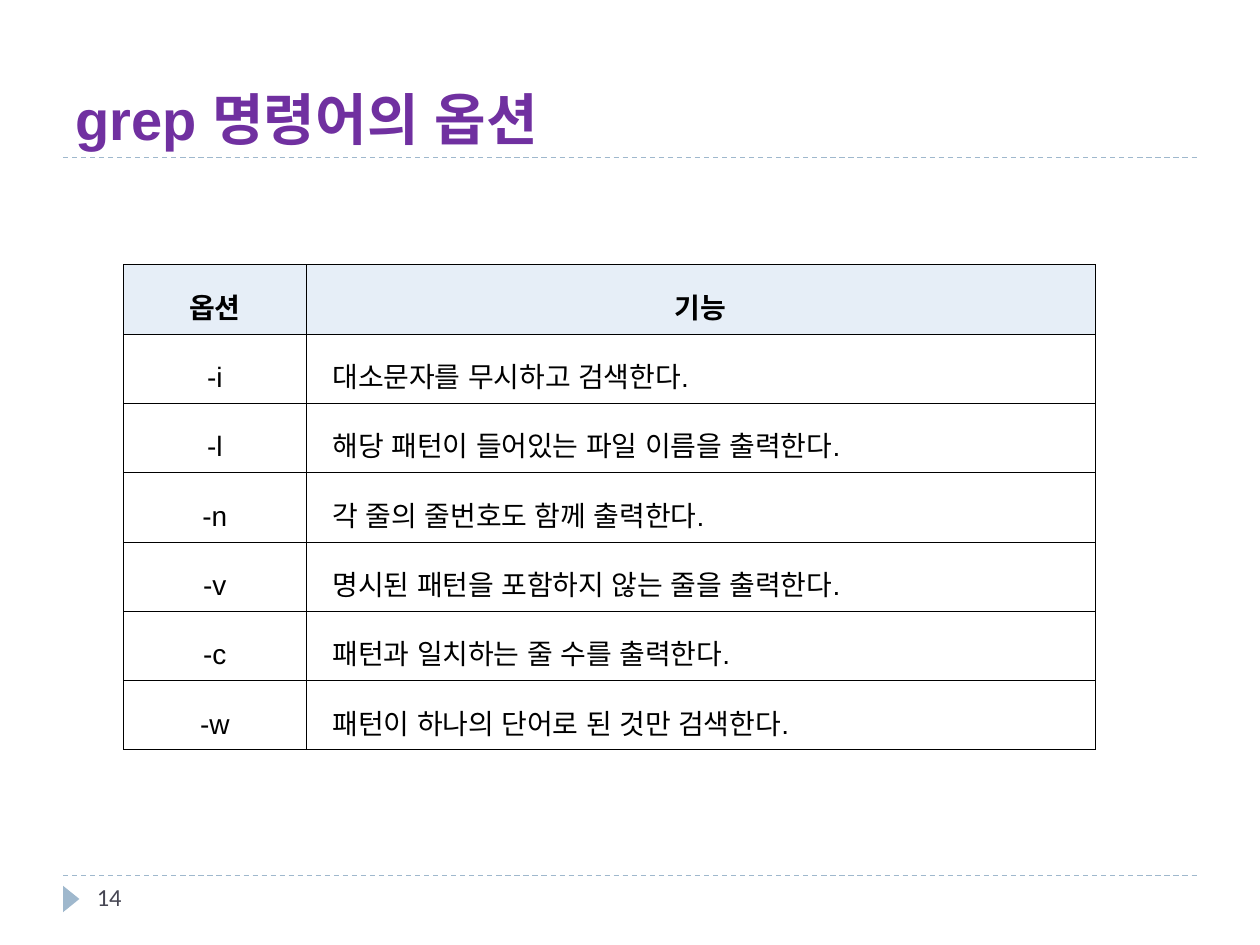
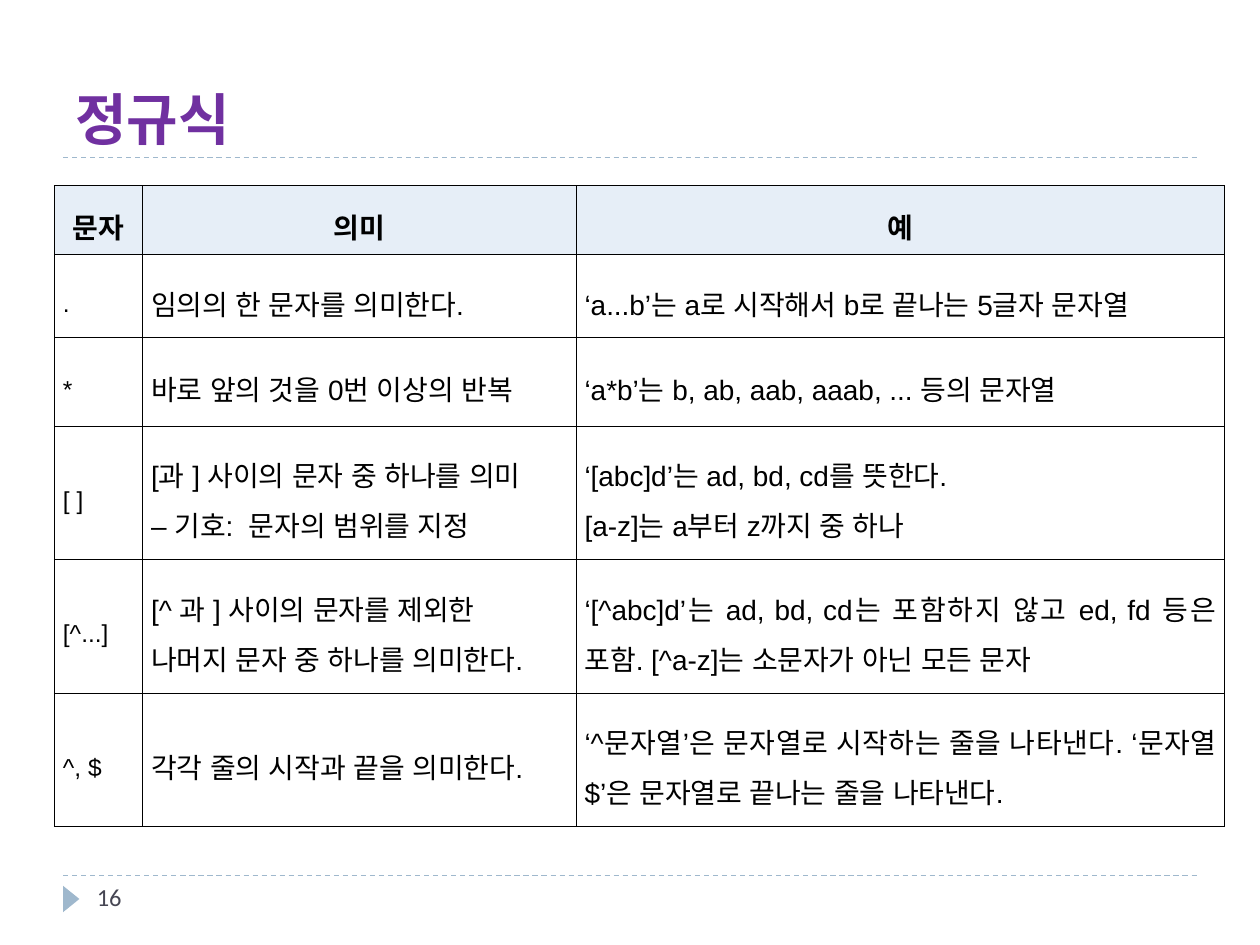
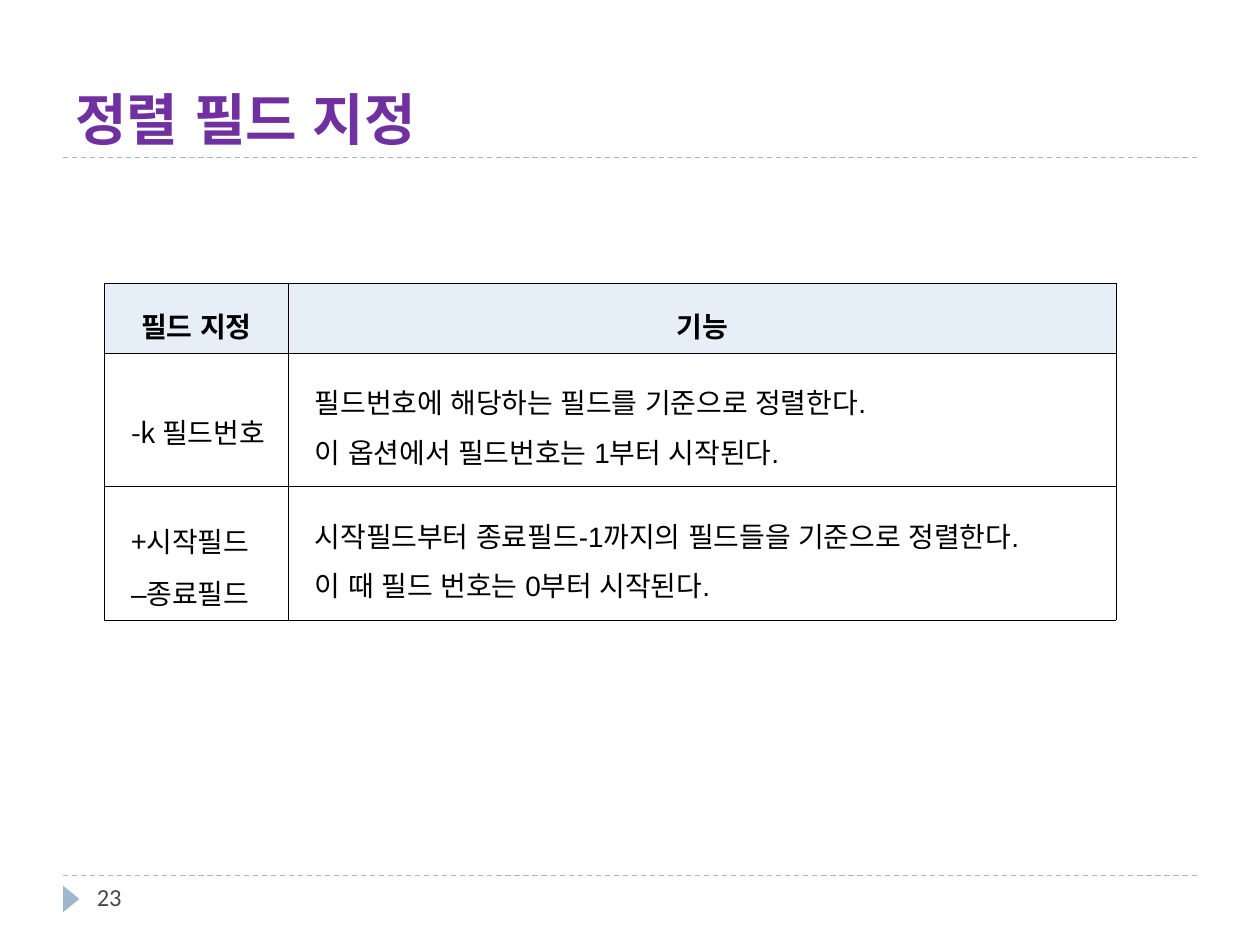
from lxml import etree
from pptx import Presentation
from pptx.dml.color import RGBColor
from pptx.enum.dml import MSO_LINE
from pptx.enum.shapes import MSO_CONNECTOR, MSO_SHAPE
from pptx.enum.text import MSO_ANCHOR, PP_ALIGN
from pptx.oxml.ns import qn
from pptx.util import Inches, Pt

COLORS = {"title": "7030A0", "accent": "9FB8CD", "number": "464653",
          "text": "000000", "header": "E6EEF7"}
SYMBOL_FONT = "Noto Sans CJK KR"
KOREAN_FONT = "Arial"
LEFT, CENTER, JUSTIFY = PP_ALIGN.LEFT, PP_ALIGN.CENTER, PP_ALIGN.JUSTIFY
ONE_LINE, TWO_LINES = 0.55, 1.06

# Each column is (width, alignment, indent, size, font).
# A cell lists its paragraphs on separate lines; a tuple is (symbol, word).
SLIDES = [
    {
        "title": "grep 명령어의 옵션", "number": "14",
        "at": (0.98, 2.1), "before": 4.3, "header_font": "Arial",
        "columns": [(1.45, CENTER, 0, 16, "Arial"), (6.26, LEFT, 0.14, 16, "Arial")],
        "heights": [ONE_LINE] * 7,
        "rows": [
            ("옵션", "기능"),
            ("-i", "대소문자를 무시하고 검색한다."),
            ("-l", "해당 패턴이 들어있는 파일 이름을 출력한다."),
            ("-n", "각 줄의 줄번호도 함께 출력한다."),
            ("-v", "명시된 패턴을 포함하지 않는 줄을 출력한다."),
            ("-c", "패턴과 일치하는 줄 수를 출력한다."),
            ("-w", "패턴이 하나의 단어로 된 것만 검색한다."),
        ],
    },
    {
        "title": "정규식", "number": "16",
        "at": (0.43, 1.47), "before": 0, "header_font": "Arial",
        "columns": [(0.7, JUSTIFY, 0, 14, "Arial"), (3.44, JUSTIFY, 0, 16, "Arial"),
                    (5.15, JUSTIFY, 0, 16, "Arial")],
        "heights": [ONE_LINE, 0.66, 0.7] + [TWO_LINES] * 3,
        "rows": [
            ("문자", "의미", "예"),
            (".", "임의의 한 문자를 의미한다.",
             "‘a...b’는 a로 시작해서 b로 끝나는 5글자 문자열"),
            ("*", "바로 앞의 것을 0번 이상의 반복",
             "‘a*b’는 b, ab, aab, aaab, ... 등의 문자열"),
            ("[ ]", "[과 ] 사이의 문자 중 하나를 의미\n– 기호:  문자의 범위를 지정",
             "‘[abc]d’는 ad, bd, cd를 뜻한다.\n[a-z]는 a부터 z까지 중 하나"),
            ("[^...]", "[^ 과 ] 사이의 문자를 제외한\n나머지 문자 중 하나를 의미한다.",
             "‘[^abc]d’는 ad, bd, cd는 포함하지 않고 ed, fd 등은 포함. "
             "[^a-z]는 소문자가 아닌 모든 문자"),
            ("^, $", "각각 줄의 시작과 끝을 의미한다.",
             "‘^문자열’은 문자열로 시작하는 줄을 나타낸다. "
             "‘문자열$’은 문자열로 끝나는 줄을 나타낸다."),
        ],
    },
    {
        "title": "정렬 필드 지정", "number": "23",
        "at": (0.83, 2.25), "before": 0, "header_font": "Calibri",
        "columns": [(1.46, JUSTIFY, 0.14, 16, "Calibri"),
                    (6.57, JUSTIFY, 0.14, 16, "Arial")],
        "heights": [ONE_LINE, TWO_LINES, TWO_LINES],
        "rows": [
            ("필드 지정", "기능"),
            (("-k ", "필드번호"),
             "필드번호에 해당하는 필드를 기준으로 정렬한다.\n"
             "이 옵션에서 필드번호는 1부터 시작된다."),
            (("+", "시작필드\n–종료필드"),
             "시작필드부터 종료필드-1까지의 필드들을 기준으로 정렬한다.\n"
             "이 때 필드 번호는 0부터 시작된다."),
        ],
    },
]


def color(name):
    return RGBColor.from_string(COLORS[name])


def style(span, size, font, color_name, bold=False):
    span.font.size = Pt(size)
    span.font.name = font
    span.font.bold = bold
    span.font.color.rgb = color(color_name)
    korean = SYMBOL_FONT if font == SYMBOL_FONT else KOREAN_FONT
    east_asian = etree.Element(qn("a:ea"), typeface=korean)
    span.font._element.find(qn("a:latin")).addnext(east_asian)


def add_text(page, area, text, anchor, *look):
    box = page.shapes.add_textbox(*map(Inches, area))
    frame = box.text_frame
    frame.word_wrap = True
    frame.vertical_anchor = anchor
    frame.text = text
    style(frame.paragraphs[0].runs[0], *look)


def add_rule(page, y):
    rule = page.shapes.add_connector(
        MSO_CONNECTOR.STRAIGHT, Inches(0.5), Inches(y), Inches(9.5), Inches(y))
    rule.line.color.rgb = color("accent")
    rule.line.width = Pt(0.75)
    rule.line.dash_style = MSO_LINE.DASH
    etree.SubElement(rule._element.spPr, qn("a:effectLst"))


def add_frame(page, title, number):
    for y in (6.95, 1.25):
        add_rule(page, y)
    marker = page.shapes.add_shape(
        MSO_SHAPE.ISOSCELES_TRIANGLE, *map(Inches, (0.46, 7.07, 0.21, 0.13)))
    marker.rotation = 90
    marker.shadow.inherit = False
    marker.fill.solid()
    marker.fill.fore_color.rgb = color("accent")
    marker.line.fill.background()
    add_text(page, (0.5, 0.17, 9, 1.08), title, MSO_ANCHOR.BOTTOM,
             32, "Arial", "title", True)
    add_text(page, (0.67, 6.95, 2.17, 0.4), number, MSO_ANCHOR.TOP,
             14, "Calibri", "number")


def add_borders(cell):
    properties = cell._tc.get_or_add_tcPr()
    for place, side in enumerate(("lnL", "lnR", "lnT", "lnB")):
        border = etree.Element(qn(f"a:{side}"), w=str(Pt(0.28)))
        fill = etree.SubElement(border, qn("a:solidFill"))
        etree.SubElement(fill, qn("a:srgbClr"), val=COLORS["text"])
        properties.insert(place, border)


def fill_cell(cell, content, column, header_font, before):
    _, align, indent, size, font = column
    if header_font:
        align, indent, size, font, before = CENTER, 0, 16, header_font, 0
    symbol, text = content if isinstance(content, tuple) else ("", content)

    cell.vertical_anchor = MSO_ANCHOR.MIDDLE
    cell.margin_left = cell.margin_right = Inches(0.07)
    cell.margin_top = cell.margin_bottom = Inches(0.02)
    if header_font:
        cell.fill.solid()
        cell.fill.fore_color.rgb = color("header")
    else:
        cell.fill.background()
    add_borders(cell)

    cell.text_frame.text = symbol or text
    if symbol:
        first, *others = text.split("\n")
        cell.text_frame.paragraphs[0].add_run().text = first
        for line in others:
            cell.text_frame.add_paragraph().text = line
    for para in cell.text_frame.paragraphs:
        para.alignment = align
        para.line_spacing = 1.6
        para.space_before = Pt(before)
        para._p.get_or_add_pPr().set("marL", str(Inches(indent)))
        for span in para.runs:
            span_font = SYMBOL_FONT if span.text == symbol else font
            style(span, size, span_font, "text", bool(header_font))


def add_grid(page, content):
    columns, rows, heights = content["columns"], content["rows"], content["heights"]
    width = sum(column[0] for column in columns)
    grid = page.shapes.add_table(
        len(rows), len(columns), *map(Inches, content["at"]),
        Inches(width), Inches(sum(heights))).table
    grid.first_row = grid.horz_banding = False
    for target, column in zip(grid.columns, columns):
        target.width = Inches(column[0])
    for target, height in zip(grid.rows, heights):
        target.height = Inches(height)
    for r, row in enumerate(rows):
        header_font = content["header_font"] if r == 0 else None
        for c, value in enumerate(row):
            fill_cell(grid.cell(r, c), value, columns[c], header_font, content["before"])


def main():
    deck = Presentation()
    deck.slide_width, deck.slide_height = Inches(10), Inches(7.5)
    for content in SLIDES:
        page = deck.slides.add_slide(deck.slide_layouts[6])
        add_frame(page, content["title"], content["number"])
        add_grid(page, content)
    deck.save("out.pptx")


if __name__ == "__main__":
    main()
